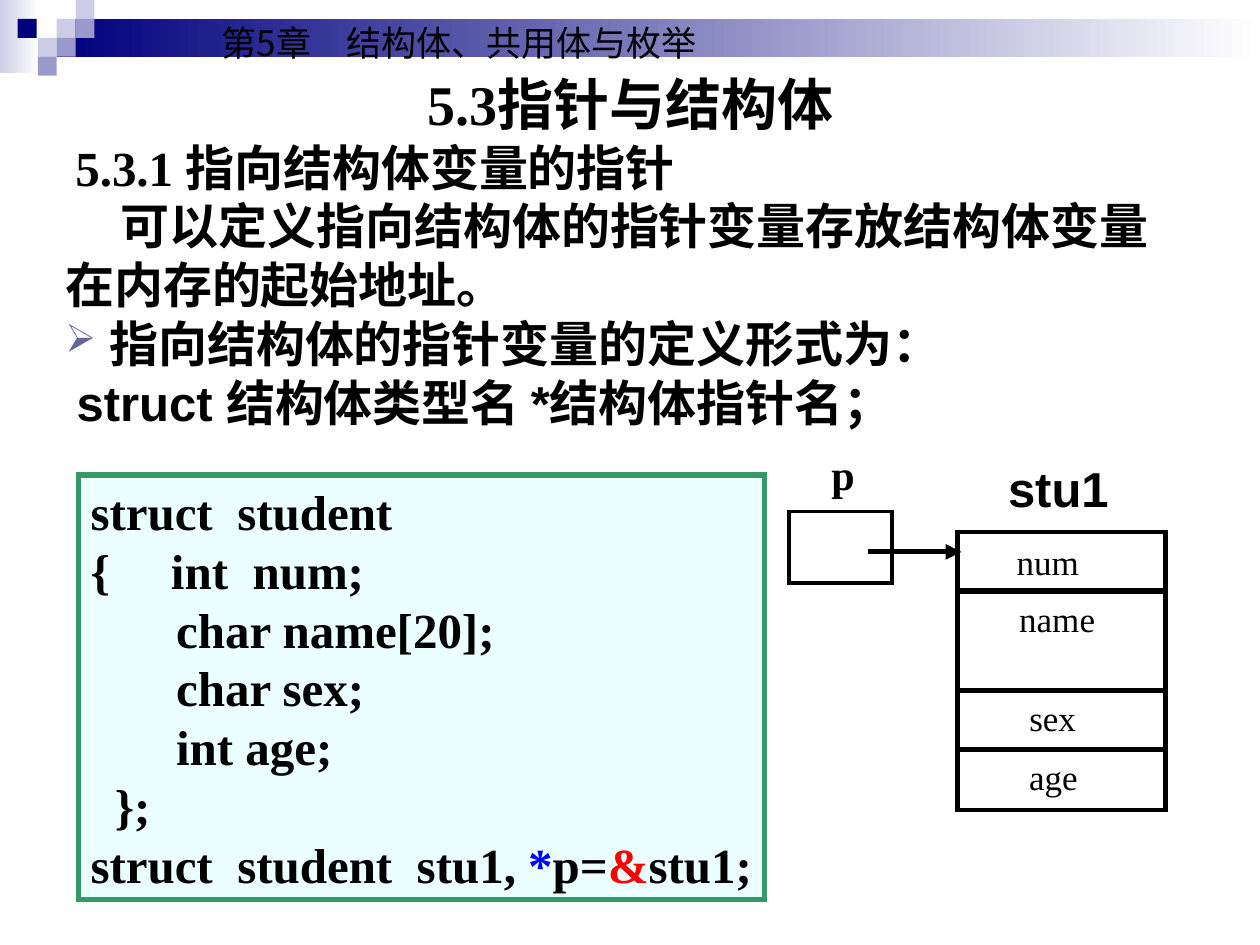
from lxml import etree
from pptx import Presentation
from pptx.dml.color import RGBColor
from pptx.enum.shapes import MSO_CONNECTOR, MSO_SHAPE
from pptx.enum.text import MSO_ANCHOR, PP_ALIGN
from pptx.oxml.ns import qn
from pptx.util import Inches, Pt

HUES = {
    "black": "000000", "navy": "00007D", "mid": "9999CC", "pale": "CCCCE6",
    "white": "FFFFFF", "mint": "EBFFFF", "green": "339966", "blue": "0000FF",
    "red": "FF0000", "slate": "666699",
}
ASIAN = "Noto Sans CJK SC"
SERIF = "Times New Roman"
SANS = "Arial"


def hue(name):
    return RGBColor.from_string(HUES[name])


class Deck:
    """Holds the style and the current slide."""

    def __init__(self, slide):
        self.slide = slide
        self.shapes = slide.shapes

    def style(self, para, size, font, bold):
        para.line_spacing = Pt(round(size * 1.2, 1))
        para.space_before = Pt(0)
        for run in para.runs:
            run.font.size = Pt(size)
            run.font.name = font
            run.font.bold = bold
            run.font.color.rgb = hue("black")
            for old in run.font._element.findall(qn("a:ea")):
                run.font._element.remove(old)
            east = etree.Element(qn("a:ea"), typeface=ASIAN)
            run.font._element.find(qn("a:latin")).addnext(east)

    def title(self, text, x, y, w, h, size):
        shape = self.shapes.title
        shape.left, shape.top = Inches(x), Inches(y)
        shape.width, shape.height = Inches(w), Inches(h)
        frame = shape.text_frame
        frame.text = text
        frame.vertical_anchor = MSO_ANCHOR.TOP
        para = frame.paragraphs[0]
        para.alignment = PP_ALIGN.CENTER
        self.style(para, size, SERIF, True)

    def fill_text(self, frame, lines, size, font, bold):
        for i, line in enumerate(lines):
            para = frame.add_paragraph() if i else frame.paragraphs[0]
            para.text = line
            para.alignment = PP_ALIGN.LEFT
            self.style(para, size, font, bold)

    def text(self, lines, x, y, w, h, size, font, bold=False, wrap=False):
        box = self.shapes.add_textbox(Inches(x), Inches(y), Inches(w), Inches(h))
        frame = box.text_frame
        frame.word_wrap = wrap
        self.fill_text(frame, lines, size, font, bold)
        return frame

    def label(self, text, x, y, w, h, size, font, bold=False):
        """Add one centred line, with no side margins so that it never wraps."""
        frame = self.text([text], x, y, w, h, size, font, bold)
        frame.margin_left = frame.margin_right = 0
        frame.paragraphs[0].alignment = PP_ALIGN.CENTER

    def rect(self, x, y, w, h, fill=None, line=None, width=0):
        shape = self.shapes.add_shape(
            MSO_SHAPE.RECTANGLE, Inches(x), Inches(y), Inches(w), Inches(h))
        shape.shadow.inherit = False
        if fill:
            shape.fill.solid()
            shape.fill.fore_color.rgb = hue(fill)
        else:
            shape.fill.background()
        if line:
            shape.line.color.rgb = hue(line)
            shape.line.width = Pt(width)
            etree.SubElement(shape.line._ln, qn("a:miter"), lim="800000")
        else:
            shape.line.fill.background()
        return shape

    def fade(self, x, y, w, h, start):
        """Draw a bar that runs from a colour on the left to white."""
        fill = self.rect(x, y, w, h).fill
        fill.gradient()
        fill.gradient_angle = 0
        for stop, name in zip(fill.gradient_stops, (start, "white")):
            stop.color.rgb = hue(name)

    def line(self, x1, y1, x2, y2, arrow=False):
        line = self.shapes.add_connector(
            MSO_CONNECTOR.STRAIGHT, Inches(x1), Inches(y1), Inches(x2), Inches(y2))
        line.line.color.rgb = hue("black")
        line.line.width = Pt(3)
        if arrow:
            etree.SubElement(line.line._ln, qn("a:tailEnd"), type="triangle")
        etree.SubElement(line._element.spPr, qn("a:effectLst"))

    def indent(self, para, first, left=0):
        props = para._p.get_or_add_pPr()
        props.set("marL", str(Inches(left)))
        props.set("indent", str(Inches(first)))
        return props

    def bullet(self, para, mark, gap):
        props = self.indent(para, -gap, gap)
        tint = etree.SubElement(props, qn("a:buClr"))
        etree.SubElement(tint, qn("a:srgbClr"), val=HUES["slate"])
        etree.SubElement(props, qn("a:buSzPct"), val="80000")
        etree.SubElement(props, qn("a:buChar"), char=mark)


def banner(deck):
    deck.fade(0, 0, 0.31, 0.58, "pale")
    deck.fade(0.45, 0.15, 9.55, 0.3, "navy")
    tiles = [(0.45, 0.15, "pale"), (0.6, 0, "pale"), (0.6, 0.15, "mid"),
             (0.3, 0.3, "pale"), (0.14, 0.15, "navy"), (0.45, 0.3, "mid"),
             (0.3, 0.45, "mid")]
    for x, y, fill in tiles:
        deck.rect(x, y, 0.15, 0.15, fill)
    deck.text(["第5章　结构体、共用体与枚举"], 1.66, 0.12, 4.11, 0.44, 20, ASIAN)


def body(deck):
    deck.title("5.3指针与结构体", 0.42, 0.5, 9.17, 0.63, 32)
    head, intro, form, rule = deck.text([
        "5.3.1 指向结构体变量的指针",
        "可以定义指向结构体的指针变量存放结构体变量在内存的起始地址。",
        "指向结构体的指针变量的定义形式为：",
        "struct 结构体类型名 *结构体指针名；",
    ], 0.42, 1.04, 9.17, 2.43, 28, SANS, True, True).paragraphs
    head.runs[0].font.name = SERIF
    deck.indent(head, 0.08)
    deck.indent(intro, 0.44)
    deck.bullet(form, "➢", 0.35)
    deck.indent(rule, 0.09)


def code(deck):
    box = deck.rect(0.62, 3.77, 5.45, 3.37, "mint", "green", 3)
    frame = box.text_frame
    frame.word_wrap = False
    frame.vertical_anchor = MSO_ANCHOR.MIDDLE
    deck.fill_text(frame, [
        "struct  student",
        "{     int  num;",
        "       char name[20];",
        "       char sex;",
        "       int age;",
        "  };",
        "struct  student  stu1, ",
    ], 28, SERIF, True)
    last = frame.paragraphs[-1]
    parts = [("*", "blue"), ("p=", "black"), ("&", "red"), ("stu1;", "black")]
    for part, _ in parts:
        last.add_run().text = part
    deck.style(last, 28, SERIF, True)
    for run, (_, name) in zip(last.runs[1:], parts):
        run.font.color.rgb = hue(name)


def memory(deck):
    """Draw the pointer p and the fields of stu1."""
    deck.line(6.89, 4.38, 7.63, 4.38, arrow=True)
    for y in (4.69, 5.48, 5.95):
        deck.line(7.6, y, 9.27, y)
    fields = [("num", 7.97, 4.24, 0.69), ("name", 7.99, 4.69, 0.8),
              ("sex", 8.07, 5.48, 0.57), ("age", 8.07, 5.95, 0.58)]
    for name, x, y, w in fields:
        deck.label(name, x, y, w, 0.44, 20, SERIF)
    deck.label("stu1", 7.9, 3.59, 1, 0.57, 28, SANS, True)
    deck.rect(7.6, 4.22, 1.65, 2.21, line="black", width=2.5)
    deck.rect(6.26, 4.06, 0.82, 0.57, line="black", width=2.25)
    deck.label("p", 6.5, 3.51, 0.38, 0.5, 24, SERIF, True)


def main():
    show = Presentation()
    show.slide_width, show.slide_height = Inches(10), Inches(7.5)
    deck = Deck(show.slides.add_slide(show.slide_layouts[5]))
    banner(deck)
    body(deck)
    code(deck)
    memory(deck)
    show.save("out.pptx")


if __name__ == "__main__":
    main()
